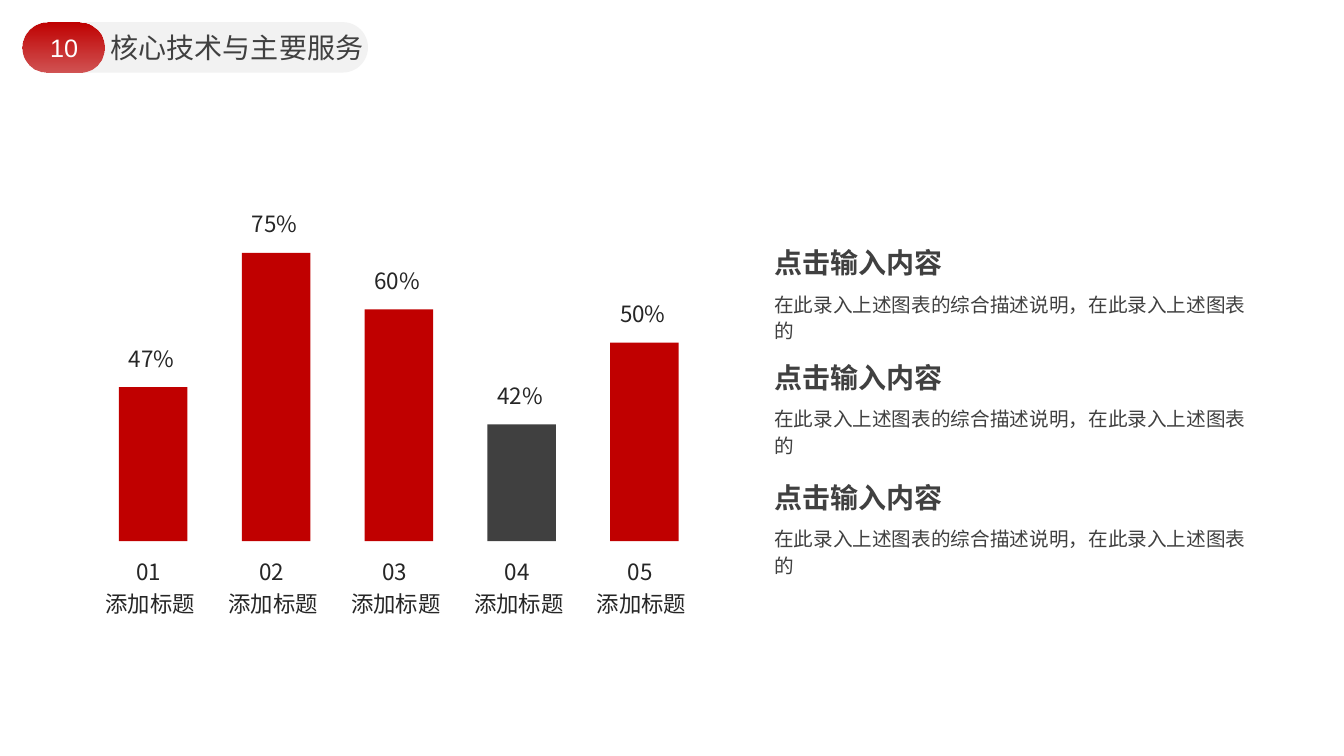
from dataclasses import dataclass

from lxml import etree
from pptx import Presentation
from pptx.dml.color import RGBColor
from pptx.enum.shapes import MSO_SHAPE
from pptx.enum.text import MSO_AUTO_SIZE, PP_ALIGN
from pptx.oxml.ns import qn
from pptx.util import Inches, Pt

RECT, PILL = MSO_SHAPE.RECTANGLE, MSO_SHAPE.ROUNDED_RECTANGLE
GROW = MSO_AUTO_SIZE.SHAPE_TO_FIT_TEXT
LEFT, CENTER, JUST = PP_ALIGN.LEFT, PP_ALIGN.CENTER, PP_ALIGN.JUSTIFY


@dataclass(frozen=True)
class Theme:
    red: str = "C00000"
    dark: str = "404040"
    ink: str = "262626"
    pale: str = "F2F2F2"
    white: str = "FFFFFF"
    head: str = "Arial"
    body: str = "Noto Sans CJK SC"
    big: int = 20
    badge: int = 18
    label: int = 16
    small: int = 14


THEME = Theme()

# Value label, bar height, bar colour
BARS = [
    ("47%", 1.53, THEME.red),
    ("75%", 2.86, THEME.red),
    ("60%", 2.3, THEME.red),
    ("42%", 1.16, THEME.dark),
    ("50%", 1.97, THEME.red),
]
NOTE_TOPS = [2.39, 3.53, 4.72]


def add_text(slide, box, text, size, color, face=THEME.body,
             align=LEFT, bold=False, wrap=True, lines=None):
    frame = slide.shapes.add_textbox(*map(Inches, box)).text_frame
    frame.word_wrap = wrap
    frame.auto_size = GROW
    para = frame.paragraphs[0]
    para.text = text
    para.alignment = align
    if lines:
        para.line_spacing = lines
    font = para.font
    font.size = Pt(size)
    font.bold = bold
    font.name = face
    font.color.rgb = RGBColor.from_string(color)
    # East Asian letters take their face from a separate element
    props = para._p.pPr.find(qn("a:defRPr"))
    etree.SubElement(props, qn("a:ea")).set("typeface", face)


def add_block(slide, kind, box, color):
    block = slide.shapes.add_shape(kind, *map(Inches, box))
    block.shadow.inherit = False
    block.line.fill.background()
    block.fill.solid()
    block.fill.fore_color.rgb = RGBColor.from_string(color)
    if kind == PILL:
        block.adjustments[0] = 0.5
    return block


def fade(shape, color, alpha):
    """Fill from solid colour at the top to the given opacity below."""
    shape.fill.gradient()
    shape.fill.gradient_angle = 270
    for stop, place in zip(shape.fill.gradient_stops, (0, 1)):
        stop.position = place
        stop.color.rgb = RGBColor.from_string(color)
    last = shape._element.spPr.findall(".//" + qn("a:srgbClr"))[-1]
    etree.SubElement(last, qn("a:alpha")).set("val", str(alpha * 1000))


def add_header(slide, left, top, number, title):
    add_block(slide, PILL, (left, top, 3.43, 0.5), THEME.pale)
    badge = add_block(slide, PILL, (left, top, 0.82, 0.5), THEME.red)
    fade(badge, THEME.red, 65)
    add_text(slide, (left + 0.16, top + 0.05, 0.51, 0.4), number, THEME.badge,
             THEME.white, THEME.head, CENTER, wrap=False)
    add_text(slide, (left + 0.78, top + 0.03, 2.73, 0.44), title, THEME.big,
             THEME.dark, THEME.head, wrap=False)


def add_bars(slide, left, base, step, width):
    """Draw the bars on a base line, with values above and labels below."""
    for i, (value, height, color) in enumerate(BARS):
        x, top = left + i * step, base - height
        mid = x + width / 2
        add_block(slide, RECT, (x, top, width, height), color)
        labels = [
            (value, top - 0.47, width),
            (f"{i + 1:02}", base + 0.12, 0.53),
            ("添加标题", base + 0.44, 1.14),
        ]
        for text, y, span in labels:
            add_text(slide, (mid - span / 2, y, span, 0.37), text,
                     THEME.label, THEME.ink, align=JUST)


def add_note(slide, left, top):
    add_text(slide, (left, top, 2.87, 0.44), "点击输入内容",
             THEME.big, THEME.dark, bold=True)
    add_text(slide, (left, top + 0.43, 5.06, 0.33),
             "在此录入上述图表的综合描述说明，在此录入上述图表的",
             THEME.small, THEME.dark, lines=1.14)


def main():
    deck = Presentation()
    deck.slide_width, deck.slide_height = Inches(13.33), Inches(7.5)
    slide = deck.slides.add_slide(deck.slide_layouts[6])
    add_header(slide, 0.22, 0.22, "10", "核心技术与主要服务")
    add_bars(slide, 1.18, 5.37, 1.218, 0.68)
    for top in NOTE_TOPS:
        add_note(slide, 7.58, top)
    deck.save("out.pptx")


if __name__ == "__main__":
    main()
